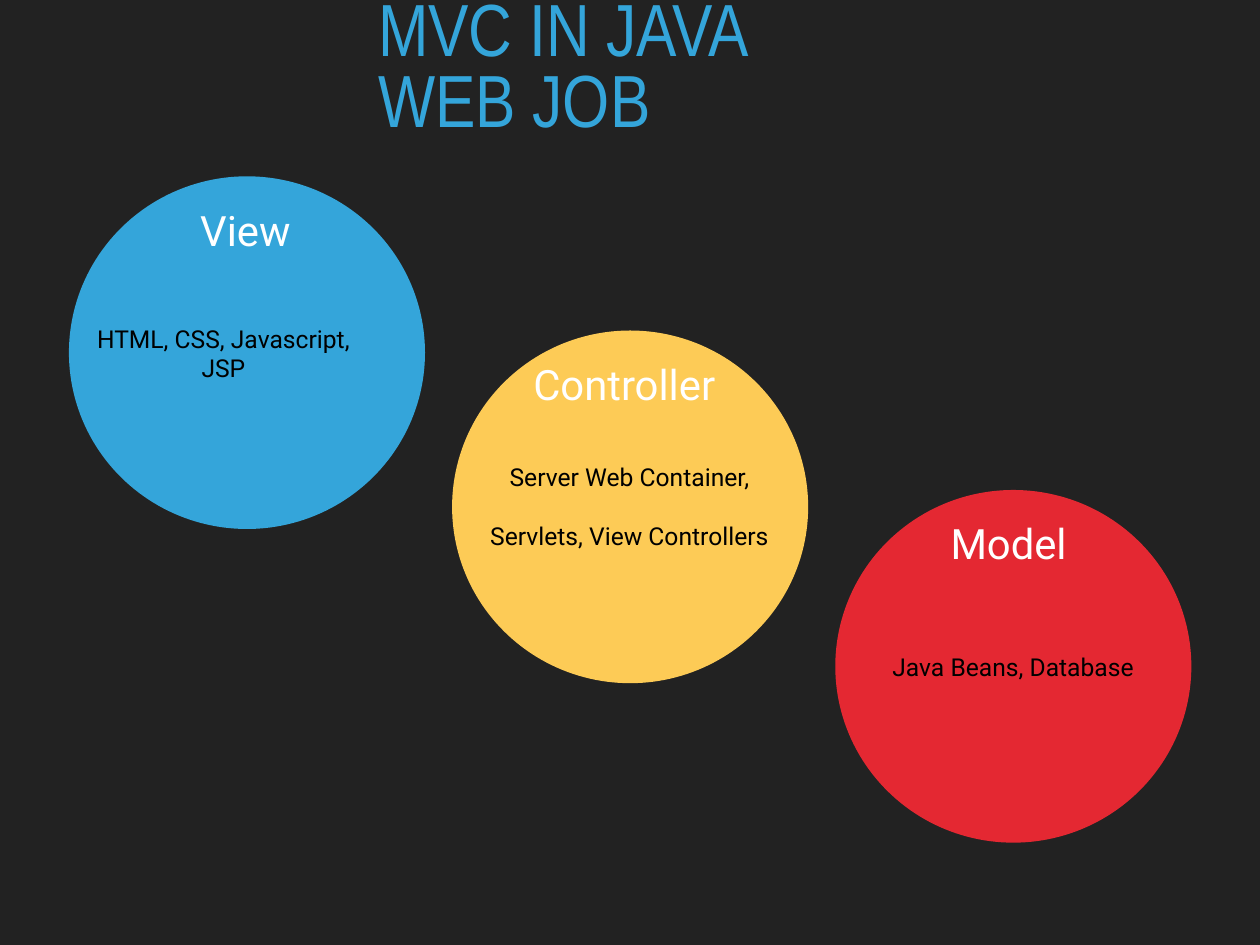
from pptx import Presentation
from pptx.dml.color import RGBColor
from pptx.enum.shapes import MSO_SHAPE
from pptx.enum.text import MSO_ANCHOR, MSO_AUTO_SIZE, PP_ALIGN
from pptx.util import Pt

OVAL = MSO_SHAPE.OVAL
MIDDLE = MSO_ANCHOR.MIDDLE
FIXED = MSO_AUTO_SIZE.NONE
LEFT, CENTER = PP_ALIGN.LEFT, PP_ALIGN.CENTER

DARK = RGBColor(0x22, 0x22, 0x22)
BLUE = RGBColor(0x34, 0xA5, 0xDA)
YELLOW = RGBColor(0xFD, 0xCB, 0x56)
RED = RGBColor(0xE4, 0x28, 0x32)
WHITE = RGBColor(0xFF, 0xFF, 0xFF)
BLACK = RGBColor(0, 0, 0)

INSET = 4.3


def place(shape, box):
    shape.left, shape.top, shape.width, shape.height = [Pt(v) for v in box]


def write(shape, text, font, size, color, align=LEFT, right=INSET):
    frame = shape.text_frame
    frame.text = text
    frame.word_wrap = True
    frame.auto_size = FIXED
    frame.vertical_anchor = MIDDLE
    frame.margin_left = frame.margin_top = frame.margin_bottom = Pt(INSET)
    frame.margin_right = Pt(right)
    for i, para in enumerate(frame.paragraphs):
        para.alignment = align
        para.space_before = Pt(24 if i else 0)
        for run in para.runs:
            run.font.name = font
            run.font.size = Pt(size)
            run.font.color.rgb = color


# Slide and background
prs = Presentation()
prs.slide_width, prs.slide_height = Pt(1024), Pt(768)
slide = prs.slides.add_slide(prs.slide_layouts[5])
slide.background.fill.solid()
slide.background.fill.fore_color.rgb = DARK
shapes = slide.shapes

# Title
title = shapes.title
place(title, (303, 23.8, 418.3, 67.7))
write(title, "MVC IN JAVA WEB JOB", "Arial Narrow", 60, BLUE)
title.text_frame.paragraphs[0].line_spacing = 0.8

# Layers: circle top, colour, name, name left and width,
# details, details box, right inset of the details
layers = [
    (143.3, BLUE, "View", 158.4, 85,
     "HTML, CSS, Javascript, JSP", (74.2, 269.3, 253.4, 35.3), 43),
    (268.6, YELLOW, "Controller", 429.1, 166.3,
     "Server Web Container,\nServlets, View Controllers",
     (391, 368.6, 241.2, 85.7), INSET),
    (398.2, RED, "Model", 768.2, 110.2,
     "Java Beans, Database", (719.3, 524.2, 208.1, 35.3), INSET),
]

for i, (top, color, name, left, width, details, box, right) in enumerate(layers):
    # Circle
    disc = shapes.add_shape(OVAL, Pt(56 + 311.4 * i), Pt(top), Pt(289.4), Pt(286.6))
    disc.shadow.inherit = False
    disc.fill.solid()
    disc.fill.fore_color.rgb = color
    disc.line.fill.background()

    # Name near the top of the circle
    label = shapes.add_textbox(Pt(left), Pt(top + 16.3), Pt(width), Pt(54))
    write(label, name, "Roboto", 34, WHITE)

    # Technologies in the middle
    body = shapes.add_textbox(*[Pt(v) for v in box])
    write(body, details, "Roboto", 20, BLACK, CENTER, right)

prs.save("out.pptx")
